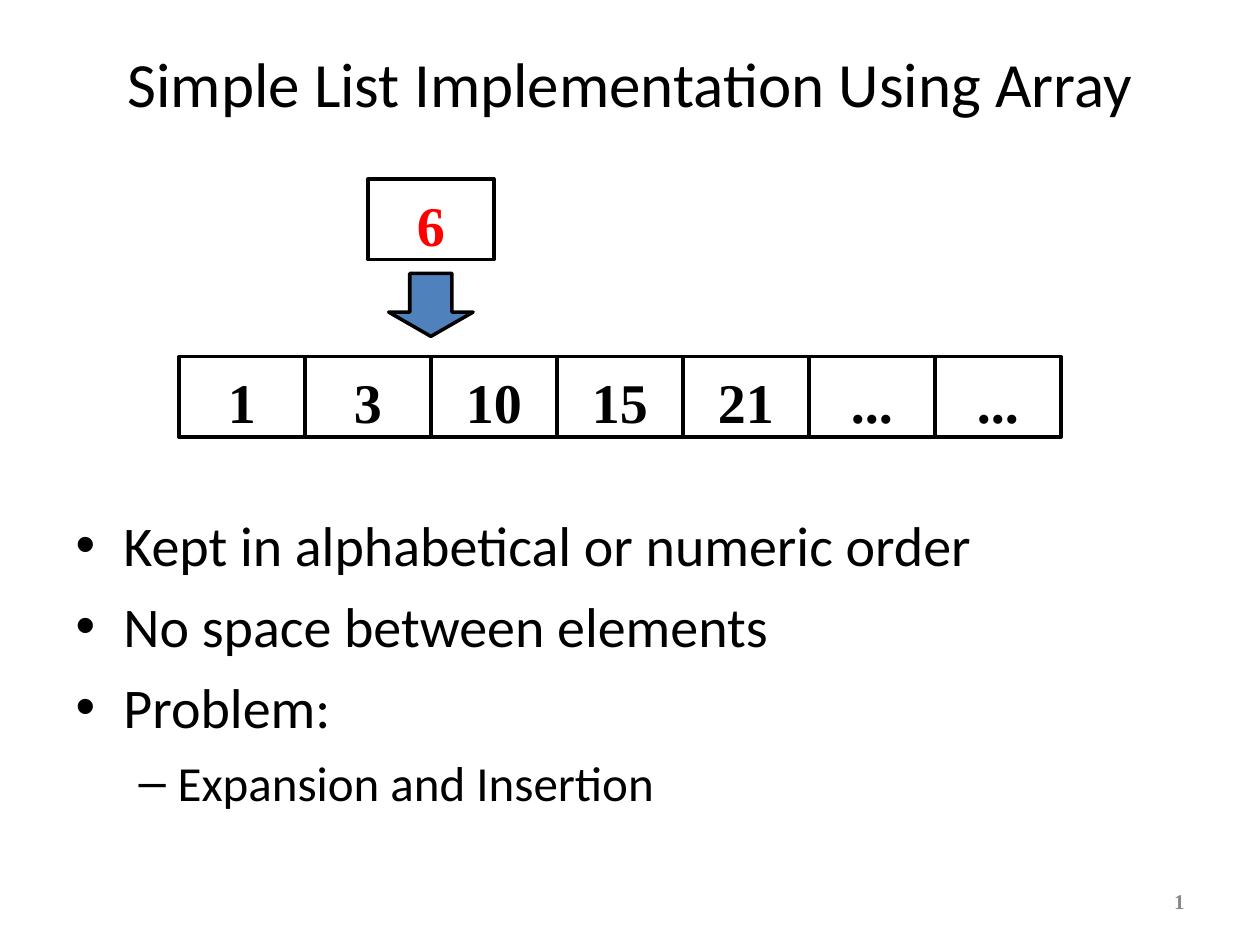
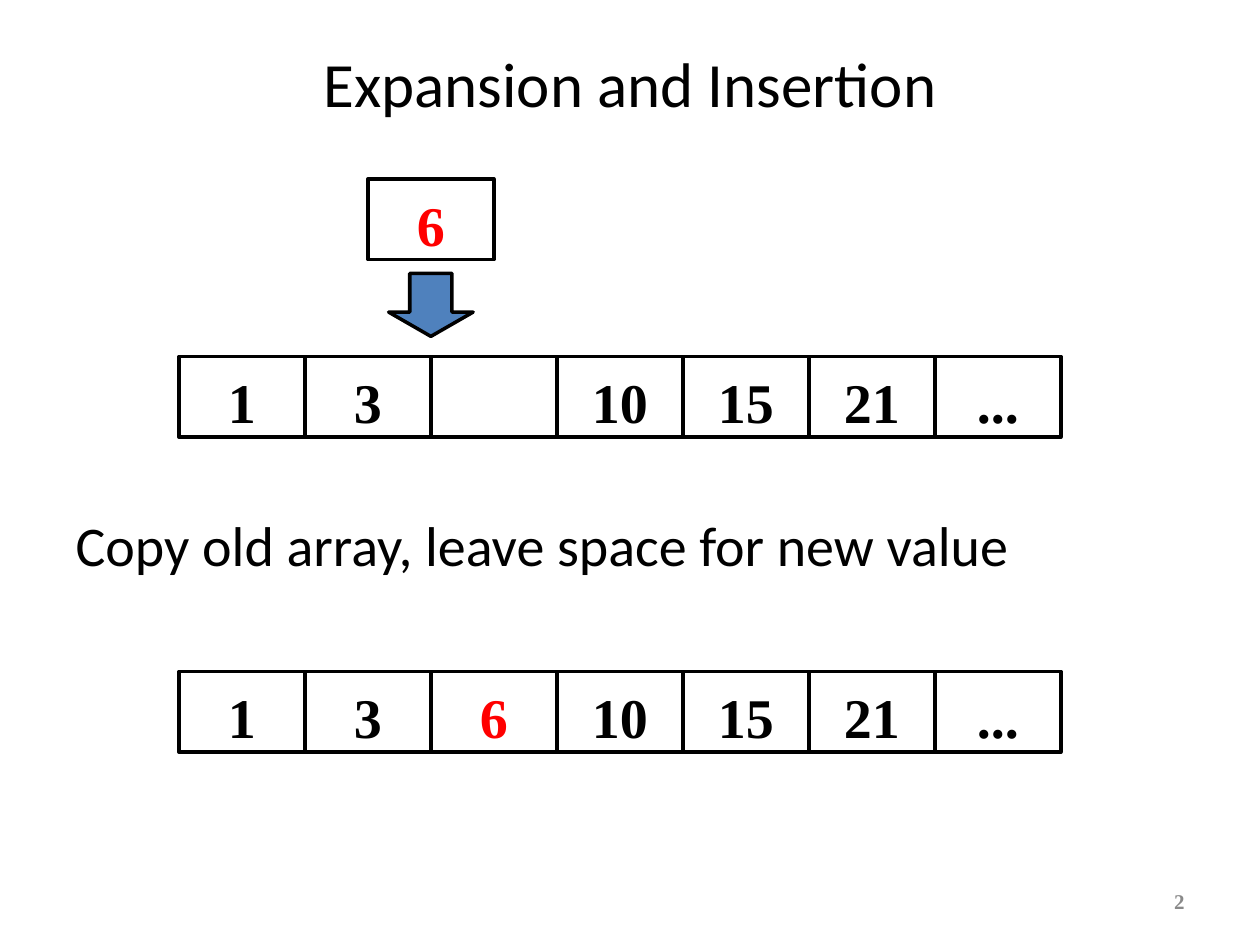
from lxml.etree import SubElement
from pptx import Presentation
from pptx.dml.color import RGBColor
from pptx.enum.shapes import MSO_SHAPE
from pptx.enum.text import MSO_ANCHOR, MSO_AUTO_SIZE, PP_ALIGN
from pptx.oxml.ns import qn
from pptx.util import Inches, Pt

COLORS = {"text": "000000", "new": "FF0000", "arrow": "4F81BD", "number": "898989"}
SANS, SERIF = "Calibri", "Times New Roman"

# Per list level: size, space before, left margin, hanging indent, bullet
LEVELS = [(32, 8, 0.38, 0.38, "•"), (28, 7, 0.81, 0.31, "–")]

# Array geometry in inches
ARRAY_LEFT, ARRAY_TOP, RESULT_TOP = 1.42, 2.83, 5.33
CELL_W, CELL_H = 1, 0.64
NEW_LEFT, NEW_TOP = ARRAY_LEFT + 1.5 * CELL_W, 1.42
ARROW_W, ARROW_H = 0.67, 0.5


def rgb(name):
    return RGBColor.from_string(COLORS[name])


class Deck:
    def __init__(self):
        self.prs = Presentation()
        self.prs.slide_width, self.prs.slide_height = Inches(10), Inches(7.5)
        self.s = None

    def slide(self, title):
        self.s = self.prs.slides.add_slide(self.prs.slide_layouts[1])
        tf = self.frame(self.s.shapes.title, 0.5, 0.3, 9, 1.25)
        self.run(tf.paragraphs[0], title, 36, align=PP_ALIGN.CENTER)
        self.slide_number()

    def frame(self, sp, left, top, width, height):
        sp.left, sp.top = Inches(left), Inches(top)
        sp.width, sp.height = Inches(width), Inches(height)
        tf = sp.text_frame
        tf.word_wrap, tf.auto_size = True, MSO_AUTO_SIZE.NONE
        tf.vertical_anchor = MSO_ANCHOR.TOP
        return tf

    def run(self, p, text, size, font=SANS, color="text", bold=False, align=PP_ALIGN.LEFT):
        p.alignment = align
        r = p.add_run()
        r.text = text
        r.font.size, r.font.name, r.font.bold = Pt(size), font, bold
        r.font.color.rgb = rgb(color)

    def slide_number(self):
        sp = self.s.shapes.add_textbox(0, 0, 0, 0)
        tf = self.frame(sp, 7.17, 6.95, 2.33, 0.4)
        tf.vertical_anchor = MSO_ANCHOR.MIDDLE
        self.run(tf.paragraphs[0], str(len(self.prs.slides)), 12, SERIF, "number", True,
                 PP_ALIGN.RIGHT)

    def body(self, items, height, bullets=True):
        tf = self.frame(self.s.placeholders[1], 0.5, 4, 9, height)
        for i, (level, text) in enumerate(items):
            p = tf.add_paragraph() if i else tf.paragraphs[0]
            size, before, margin, hang, char = LEVELS[level]
            p.level = level
            p.space_before = Pt(before if i else 0)
            pPr = p._p.get_or_add_pPr()
            pPr.set("marL", str(Inches(margin if bullets else 0)))
            pPr.set("indent", str(-Inches(hang if bullets else 0)))
            if bullets:
                SubElement(pPr, qn("a:buChar")).set("char", char)
            else:
                SubElement(pPr, qn("a:buNone"))
            self.run(p, text, size)

    def shape(self, kind, left, top, width, height, fill=None):
        sp = self.s.shapes.add_shape(kind, Inches(left), Inches(top), Inches(width),
                                     Inches(height))
        sp.shadow.inherit = False
        if fill:
            sp.fill.solid()
            sp.fill.fore_color.rgb = rgb(fill)
        else:
            sp.fill.background()
        sp.line.color.rgb, sp.line.width = rgb("text"), Pt(2)
        return sp

    def cell(self, text, left, top, color="text"):
        sp = self.shape(MSO_SHAPE.RECTANGLE, left, top, CELL_W, CELL_H)
        if text:
            tf = self.frame(sp, left, top, CELL_W, CELL_H)
            tf.margin_top, tf.margin_bottom = Inches(0.09), Inches(0)
            self.run(tf.paragraphs[0], text, 32, SERIF, color, True, PP_ALIGN.CENTER)

    def array(self, values, top, new=None):
        for i, value in enumerate(values):
            self.cell(value, ARRAY_LEFT + i * CELL_W, top, "new" if value == new else "text")

    def new_value(self, text):
        self.cell(text, NEW_LEFT, NEW_TOP, "new")
        left = NEW_LEFT + (CELL_W - ARROW_W) / 2
        arrow = self.shape(MSO_SHAPE.DOWN_ARROW, left, 2.17, ARROW_W, ARROW_H, "arrow")
        arrow.adjustments[0], arrow.adjustments[1] = 0.5, 0.385


def main():
    deck = Deck()

    # Sorted array and the value to insert
    deck.slide("Simple List Implementation Using Array")
    deck.body([(0, "Kept in alphabetical or numeric order"),
               (0, "No space between elements"),
               (0, "Problem:"),
               (1, "Expansion and Insertion")], 2.7)
    deck.array(["1", "3", "10", "15", "21", "...", "..."], ARRAY_TOP)
    deck.new_value("6")

    # Array with a gap, then with the value in place
    deck.slide("Expansion and Insertion")
    deck.body([(0, "Copy old array, leave space for new value")], 0.75, bullets=False)
    deck.array(["1", "3", "", "10", "15", "21", "..."], ARRAY_TOP)
    deck.new_value("6")
    deck.array(["1", "3", "6", "10", "15", "21", "..."], RESULT_TOP, new="6")

    deck.prs.save("out.pptx")


if __name__ == "__main__":
    main()
